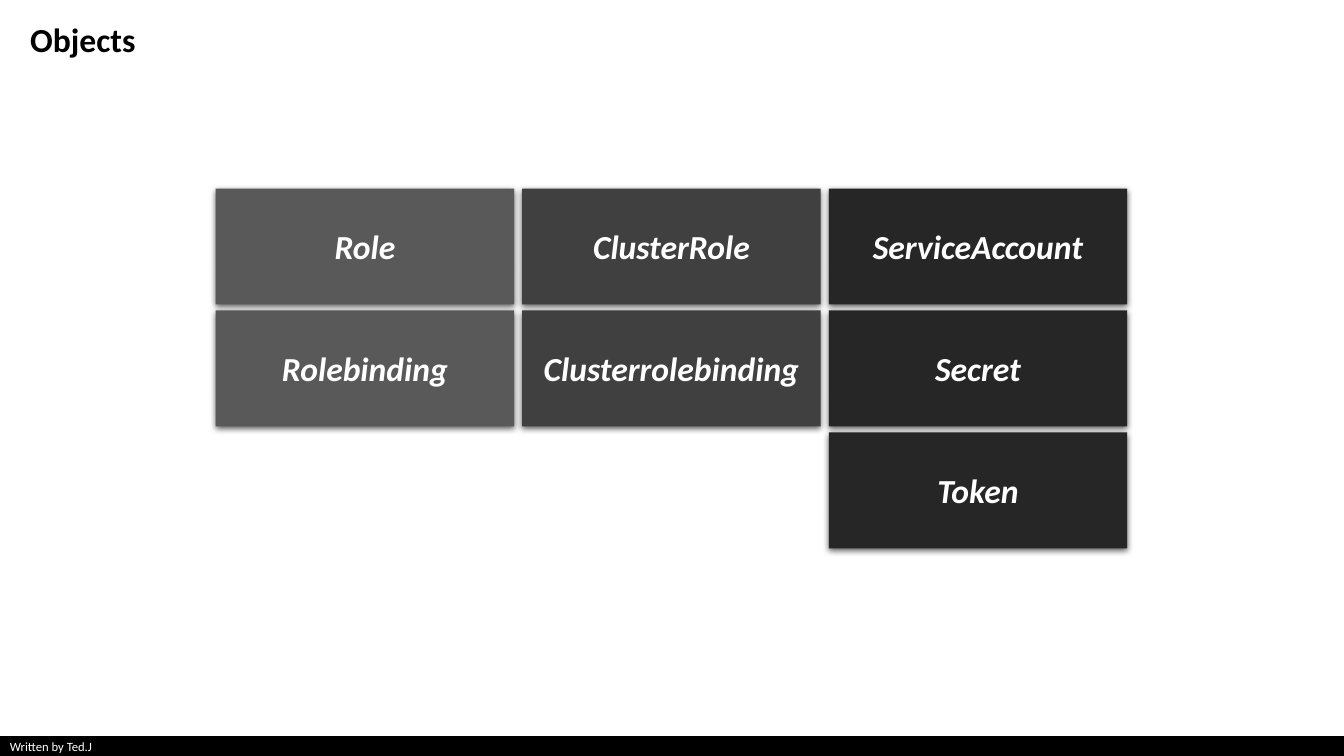
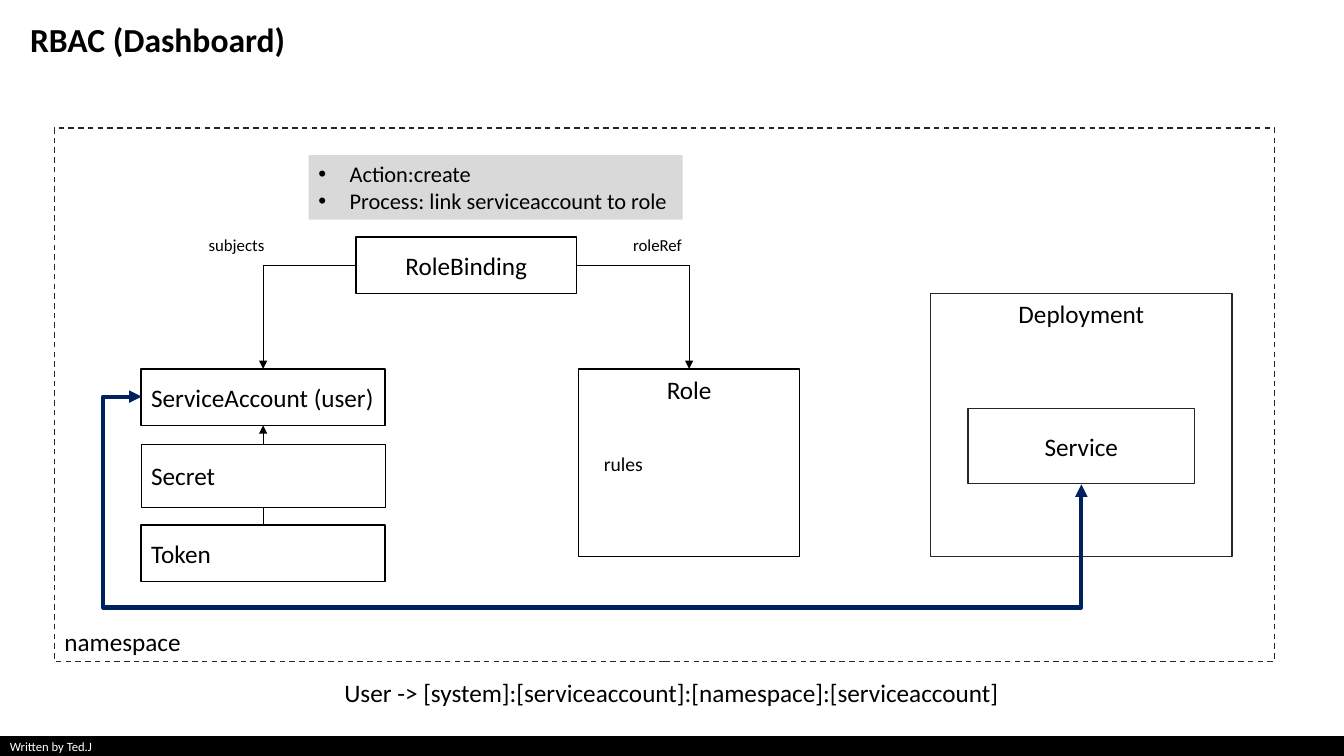
"""Builds two slides on cluster access objects and how role binding links them."""
from lxml import etree
from pptx import Presentation
from pptx.dml.color import RGBColor
from pptx.enum.dml import MSO_LINE as Dash
from pptx.enum.shapes import MSO_CONNECTOR as Connector, MSO_SHAPE as Shape
from pptx.enum.text import MSO_ANCHOR as Anchor, MSO_AUTO_SIZE as AutoSize, PP_ALIGN as Align
from pptx.oxml.ns import qn
from pptx.util import Inches, Pt

COLORS = {"black": "000000", "white": "FFFFFF", "gray": "595959", "slate": "404040",
          "charcoal": "262626", "light": "D9D9D9", "navy": "002060"}
FONT = "Calibri"
FOOTER = "Written by Ted.J"
TOP, LEFT, BOTTOM, RIGHT = range(4)

OBJECT_COLUMNS = [
    ("gray", ["Role", "Rolebinding"]),
    ("slate", ["ClusterRole", "Clusterrolebinding"]),
    ("charcoal", ["ServiceAccount", "Secret", "Token"]),
]
GRID_LEFT, GRID_TOP = 2.14, 1.87
CARD_WIDTH, CARD_HEIGHT = 2.96, 1.15
COLUMN_GAP, ROW_GAP = 0.08, 0.06

NAMESPACE = ("namespace", (0.54, 1.27, 12.1, 5.29))
ACCOUNT_WIDTH = 2.42
BOXES = [
    ("ServiceAccount (user)", (1.4, 3.66, ACCOUNT_WIDTH, 0.56), "white", "black",
     Align.LEFT, Anchor.MIDDLE),
    ("Token", (1.4, 5.21, ACCOUNT_WIDTH, 0.56), "white", "black", Align.LEFT, Anchor.MIDDLE),
    ("Role", (5.74, 3.66, 2.19, 1.86), "white", "black", Align.CENTER, Anchor.TOP),
    ("RoleBinding", (3.53, 2.35, 2.19, 0.56), "white", "black", Align.CENTER, Anchor.MIDDLE),
    ("Deployment", (9.23, 2.91, 2.99, 2.61), None, "charcoal", Align.CENTER, Anchor.TOP),
    ("Service", (9.6, 4.05, 2.25, 0.75), None, "charcoal", Align.CENTER, Anchor.MIDDLE),
]
SECRET = ("Secret", (1.4, 4.41, ACCOUNT_WIDTH, 0.62))
LINKS = [
    ("Token", TOP, "ServiceAccount (user)", BOTTOM, None, 0.75),
    ("RoleBinding", RIGHT, "Role", TOP, "bentConnector2", 0.5),
    ("RoleBinding", LEFT, "ServiceAccount (user)", TOP, "bentConnector2", 0.5),
]
ACTIONS = ["Action:create", "Process: link serviceaccount to role"]
LABELS = [
    ("roleRef", (6.18, 2.28, 0.69, 0.3), 12, Align.LEFT, False),
    ("subjects", (1.97, 2.28, 0.76, 0.3), 12, Align.LEFT, False),
    ("rules", (5.89, 4.43, 1.95, 0.34), 14, Align.LEFT, True),
    ("User -> [system]:[serviceaccount]:[namespace]:[serviceaccount]",
     (1.07, 6.67, 11.18, 0.4), 18, Align.CENTER, True),
]


def color(name):
    return RGBColor.from_string(COLORS[name])


def write(shape, lines, size, ink="black", align=Align.LEFT, anchor=Anchor.TOP,
          wrap=True, bold=False, italic=False):
    frame = shape.text_frame
    frame.word_wrap, frame.vertical_anchor = wrap, anchor
    for index, line in enumerate(lines):
        paragraph = frame.add_paragraph() if index else frame.paragraphs[0]
        paragraph.alignment = align
        run = paragraph.add_run()
        run.text = line
        font = run.font
        font.name, font.size, font.bold, font.italic = FONT, Pt(size), bold, italic
        font.color.rgb = color(ink)


def add_box(slide, place, fill=None, line=None, width=1):
    box = slide.shapes.add_shape(Shape.RECTANGLE, *map(Inches, place))
    box.shadow.inherit = False
    if fill:
        box.fill.solid()
        box.fill.fore_color.rgb = color(fill)
    else:
        box.fill.background()
    if line:
        box.line.color.rgb = color(line)
        box.line.width = Pt(width)
    else:
        box.line.fill.background()
    return box


def add_label(slide, text, place, size, align=Align.LEFT, wrap=True, bold=False):
    label = slide.shapes.add_textbox(*map(Inches, place))
    write(label, [text], size, align=align, wrap=wrap, bold=bold)
    label.text_frame.auto_size = AutoSize.SHAPE_TO_FIT_TEXT


def add_shadow(shape):
    effects = shape.element.spPr.find(qn("a:effectLst"))
    shadow = etree.SubElement(effects, qn("a:outerShdw"), blurRad=str(Pt(4.5)),
                              dist=str(Pt(1.5)), dir="5400000", rotWithShape="0")
    ink = etree.SubElement(shadow, qn("a:srgbClr"), val=COLORS["black"])
    etree.SubElement(ink, qn("a:alpha"), val="63000")


def add_bullets(shape):
    for paragraph in shape.text_frame.paragraphs:
        properties = paragraph._p.get_or_add_pPr()
        properties.set("marL", str(Inches(0.31)))
        properties.set("indent", str(-Inches(0.31)))
        etree.SubElement(properties, qn("a:buFont"), typeface="Arial")
        etree.SubElement(properties, qn("a:buChar"), char="•")


def add_link(slide, start, start_side, end, end_side, bend, width, ink="black", ends=("tailEnd",)):
    kind = Connector.ELBOW if bend else Connector.STRAIGHT
    link = slide.shapes.add_connector(kind, 0, 0, 0, 0)
    link.begin_connect(start, start_side)
    link.end_connect(end, end_side)
    link.line.color.rgb = color(ink)
    link.line.width = Pt(width)
    properties = link.element.spPr
    if bend:
        properties.find(qn("a:prstGeom")).set("prst", bend)
    for end_name in ends:
        etree.SubElement(properties.find(qn("a:ln")), qn(f"a:{end_name}"), type="triangle")
    etree.SubElement(properties, qn("a:effectLst"))
    return link


def add_service_route(slide, service, account):
    route = add_link(slide, service, BOTTOM, account, LEFT, "bentConnector4", 3,
                     "navy", ("headEnd", "tailEnd"))
    route.left, route.top, route.width, route.height = map(Inches, (5.63, -0.29, 0.87, 9.32))
    properties = route.element.spPr
    frame = properties.find(qn("a:xfrm"))
    for name, value in (("rot", "5400000"), ("flipH", "1"), ("flipV", "0")):
        frame.set(name, value)
    adjustments = properties.find(qn("a:prstGeom")).get_or_add_avLst()
    for name, value in (("adj1", -140500), ("adj2", 104100)):
        etree.SubElement(adjustments, qn("a:gd"), name=name, fmla=f"val {value}")


def add_slide(presentation, title):
    slide = presentation.slides.add_slide(presentation.slide_layouts[6])
    add_label(slide, title, (0.2, 0.14, 12.92, 0.5), 24, bold=True)
    return slide


def add_footer(slide):
    band = add_box(slide, (0, 7.31, 13.33, 0.19), "black", "black")
    write(band, [FOOTER], 9, "white", anchor=Anchor.MIDDLE)
    slide.slide_layout.shapes.element.append(band.element)


def build_objects(slide):
    for column, (fill, names) in enumerate(OBJECT_COLUMNS):
        for row, name in enumerate(names):
            left = GRID_LEFT + column * (CARD_WIDTH + COLUMN_GAP)
            top = GRID_TOP + row * (CARD_HEIGHT + ROW_GAP)
            card = add_box(slide, (left, top, CARD_WIDTH, CARD_HEIGHT), fill)
            add_shadow(card)
            write(card, [name], 24, "white", Align.CENTER, Anchor.MIDDLE, bold=True, italic=True)


def build_dashboard(slide):
    name, place = NAMESPACE
    namespace = add_box(slide, place, line="charcoal")
    namespace.line.dash_style = Dash.DASH
    write(namespace, [name], 18, anchor=Anchor.BOTTOM)

    boxes = {}
    for name, place, fill, line, align, anchor in BOXES:
        boxes[name] = add_box(slide, place, fill, line)
        write(boxes[name], [name], 18, align=align, anchor=anchor)
    for start, start_side, end, end_side, bend, width in LINKS:
        add_link(slide, boxes[start], start_side, boxes[end], end_side, bend, width)
    add_service_route(slide, boxes["Service"], boxes["ServiceAccount (user)"])

    name, place = SECRET
    secret = add_box(slide, place, "white", "black", 0.5)
    write(secret, [name], 18, anchor=Anchor.MIDDLE)

    actions = add_box(slide, (3.06, 1.54, 3.71, 0.64), "light")
    write(actions, ACTIONS, 16, wrap=False)
    add_bullets(actions)
    for label in LABELS:
        add_label(slide, *label)


presentation = Presentation()
presentation.slide_width, presentation.slide_height = Inches(13.33), Inches(7.5)
objects = add_slide(presentation, "Objects")
add_footer(objects)
build_objects(objects)
build_dashboard(add_slide(presentation, "RBAC (Dashboard)"))
presentation.save("out.pptx")
